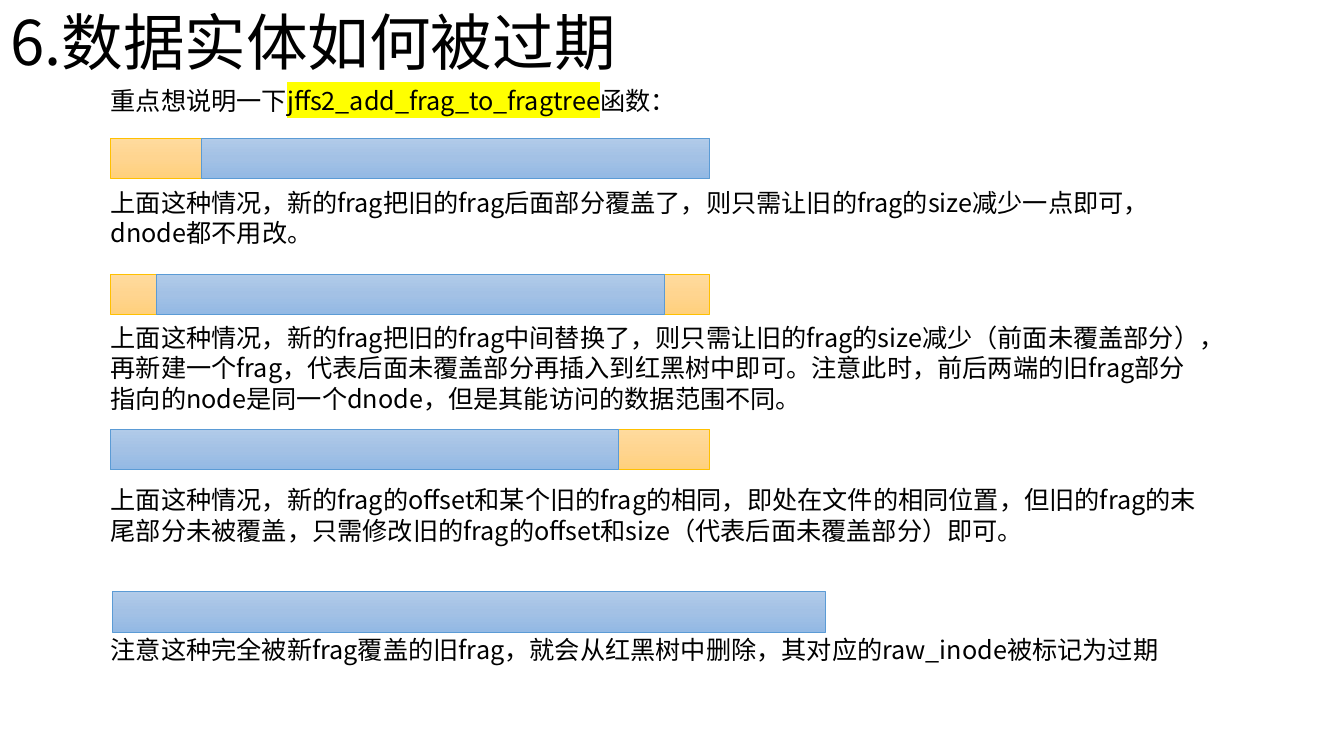
from copy import deepcopy

from lxml import etree
from pptx import Presentation
from pptx.dml.color import RGBColor
from pptx.enum.shapes import MSO_SHAPE
from pptx.enum.text import MSO_ANCHOR, MSO_AUTO_SIZE, PP_ALIGN
from pptx.oxml.ns import qn
from pptx.util import Pt

RECTANGLE = MSO_SHAPE.RECTANGLE
MIDDLE = MSO_ANCHOR.MIDDLE
GROW = MSO_AUTO_SIZE.SHAPE_TO_FIT_TEXT
LEFT, JUSTIFY = PP_ALIGN.LEFT, PP_ALIGN.JUSTIFY

FONT = "Noto Sans CJK SC"
COLORS = {"text": "000000", "highlight": "FFFF00"}
OLD_FRAG = {"line": "FFC000", "stops": ("FFDB9E", "FFD590", "FFD07C")}
NEW_FRAG = {"line": "5B9BD5", "stops": ("B1CBE9", "A3C1E5", "93B9E4")}

HEADING = "6.数据实体如何被过期"
INTRO = [("重点想说明一下", False), ("jffs2_add_frag_to_fragtree", True), ("函数：", False)]

# bar top, share of the old frag's uncovered length lying before the new frag,
# note top, note width, note height, note
PARTIAL_CASES = [
    (98.6, 1, 130.3, 803.5, 51.1,
     "上面这种情况，新的frag把旧的frag后面部分覆盖了，则只需让旧的frag的size减少一点即可，"
     "dnode都不用改。"),
    (195.8, 0.5, 226.8, 797, 72.7,
     "上面这种情况，新的frag把旧的frag中间替换了，则只需让旧的frag的size减少（前面未覆盖部分），"
     "再新建一个frag，代表后面未覆盖部分再插入到红黑树中即可。注意此时，前后两端的旧frag部分指向的"
     "node是同一个dnode，但是其能访问的数据范围不同。"),
    (306.7, 0, 342.7, 797, 51.1,
     "上面这种情况，新的frag的offset和某个旧的frag的相同，即处在文件的相同位置，但旧的frag的末尾部分"
     "未被覆盖，只需修改旧的frag的offset和size（代表后面未覆盖部分）即可。"),
]
FULL_COVER = (80.6, 422.6, 509)
FULL_COVER_NOTE = "注意这种完全被新frag覆盖的旧frag，就会从红黑树中删除，其对应的raw_inode被标记为过期"

TEXT_LEFT = 72
BAR_LEFT, BAR_HEIGHT = 79.2, 28.8
OLD_LENGTH, NEW_LENGTH = 427.7, 362.9


def add_run(paragraph, text, size, highlighted=False):
    """Add one run in the slide's font, with a highlight if asked."""
    run = paragraph.add_run()
    run.text = text
    run.font.size = Pt(size)
    run.font.color.rgb = RGBColor.from_string(COLORS["text"])
    run.font.name = FONT
    latin = run.font._element.find(qn("a:latin"))
    east_asian = etree.Element(qn("a:ea"), typeface=FONT)
    latin.addnext(east_asian)
    if highlighted:
        highlight = etree.Element(qn("a:highlight"))
        etree.SubElement(highlight, qn("a:srgbClr"), val=COLORS["highlight"])
        latin.addprevious(highlight)


def add_note(slide, top, width, height, runs, alignment=LEFT):
    """Add a wrapped body text made of (text, highlighted) runs."""
    box = slide.shapes.add_textbox(Pt(TEXT_LEFT), Pt(top), Pt(width), Pt(height))
    frame = box.text_frame
    frame.word_wrap = True
    frame.auto_size = GROW
    paragraph = frame.paragraphs[0]
    paragraph.alignment = alignment
    for text, highlighted in runs:
        add_run(paragraph, text, 18, highlighted)


def add_frag(slide, left, top, length, style):
    """Draw one frag as a bar with a three-stop vertical gradient."""
    bar = slide.shapes.add_shape(RECTANGLE, Pt(left), Pt(top), Pt(length), Pt(BAR_HEIGHT))
    bar.shadow.inherit = False
    bar.fill.gradient()
    bar.fill.gradient_angle = 270
    stop_list = bar._element.spPr.find(".//" + qn("a:gsLst"))
    stop_list.append(deepcopy(stop_list[0]))
    for index, (stop, color) in enumerate(zip(bar.fill.gradient_stops, style["stops"])):
        stop.position = index / 2
        stop.color.rgb = RGBColor.from_string(color)
    bar.line.color.rgb = RGBColor.from_string(style["line"])
    bar.line.width = Pt(0.5)


def add_heading(slide):
    """Place and fill the title placeholder."""
    title = slide.shapes.title
    title.left, title.top, title.width, title.height = Pt(0), Pt(-0.7), Pt(463), Pt(66.2)
    title.text_frame.word_wrap = True
    title.text_frame.vertical_anchor = MIDDLE
    paragraph = title.text_frame.paragraphs[0]
    paragraph.alignment = LEFT
    paragraph.line_spacing = 0.9
    add_run(paragraph, HEADING, 44)


def main():
    """Build the slide and save it."""
    deck = Presentation()
    deck.slide_width, deck.slide_height = Pt(960), Pt(540)
    slide = deck.slides.add_slide(deck.slide_layouts[5])
    add_heading(slide)
    add_note(slide, 57.6, 810, 28.8, INTRO, JUSTIFY)
    for bar_top, share_before, note_top, width, height, note in PARTIAL_CASES:
        new_left = BAR_LEFT + share_before * (OLD_LENGTH - NEW_LENGTH)
        add_frag(slide, BAR_LEFT, bar_top, OLD_LENGTH, OLD_FRAG)
        add_frag(slide, new_left, bar_top, NEW_LENGTH, NEW_FRAG)
        add_note(slide, note_top, width, height, [(note, False)])
    add_frag(slide, *FULL_COVER, NEW_FRAG)
    add_note(slide, 449.3, 797, 28.8, [(FULL_COVER_NOTE, False)])
    deck.save("out.pptx")


main()
